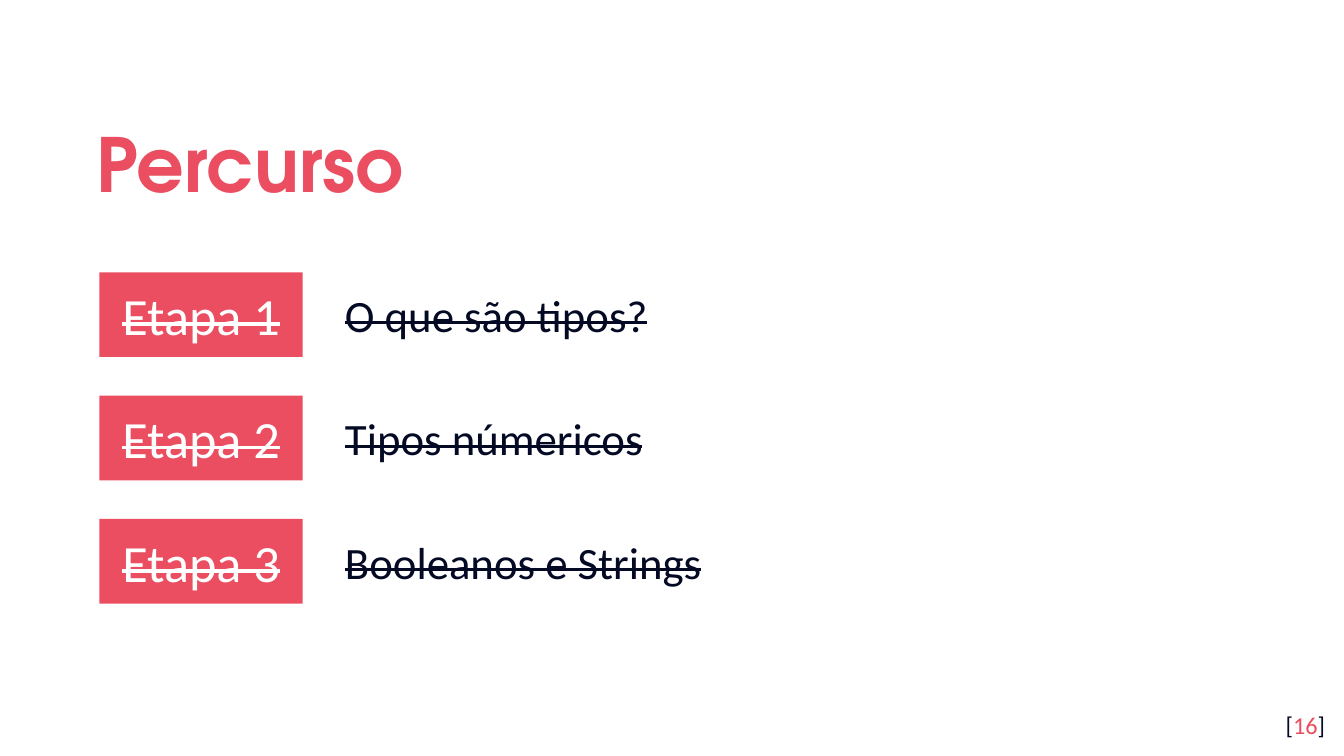
from dataclasses import dataclass

from pptx import Presentation
from pptx.dml.color import RGBColor
from pptx.enum.shapes import MSO_SHAPE
from pptx.enum.text import MSO_ANCHOR, PP_ALIGN
from pptx.util import Cm, Pt

RECT = MSO_SHAPE.RECTANGLE
TOP, MIDDLE = MSO_ANCHOR.TOP, MSO_ANCHOR.MIDDLE
LEFT, CENTER, RIGHT = PP_ALIGN.LEFT, PP_ALIGN.CENTER, PP_ALIGN.RIGHT


@dataclass(frozen=True)
class Theme:
    accent: str = "EA4E60"
    ink: str = "040A24"
    paper: str = "FFFFFF"
    heading_font: str = "TeX Gyre Adventor"
    body_font: str = "Calibri"
    title_size: int = 40
    stage_size: int = 28
    topic_size: int = 24
    number_size: int = 13


class SlideBuilder:
    def __init__(self, slide, theme):
        self.slide = slide
        self.theme = theme
        fill = slide.background.fill
        fill.solid()
        fill.fore_color.rgb = RGBColor.from_string(theme.paper)

    def set_text(self, sp, runs, size, font=None, bold=False, strike=False,
                 align=LEFT, anchor=TOP, pad=0.25):
        tf = sp.text_frame
        frame_format = {
            "word_wrap": True, "vertical_anchor": anchor,
            "margin_left": Cm(0.25), "margin_right": Cm(0.25),
            "margin_top": Cm(pad), "margin_bottom": Cm(pad),
        }
        for name, value in frame_format.items():
            setattr(tf, name, value)
        p = tf.paragraphs[0]
        p.alignment = align
        run_format = {"name": font or self.theme.body_font,
                      "size": Pt(size), "bold": bold}
        for text, color in runs:
            r = p.add_run()
            r.text = text
            for name, value in run_format.items():
                setattr(r.font, name, value)
            r.font.color.rgb = RGBColor.from_string(color)
            if strike:
                r._r.get_or_add_rPr().set("strike", "sngStrike")
        return p

    def text(self, box, runs, size, **style):
        sp = self.slide.shapes.add_textbox(*map(Cm, box))
        return self.set_text(sp, runs, size, **style)

    def title(self, box, text):
        t = self.theme
        p = self.text(box, [(text, t.accent)], t.title_size,
                      font=t.heading_font, bold=True, anchor=MIDDLE)
        p.line_spacing = 1.15

    def stage(self, box, text):
        t = self.theme
        sp = self.slide.shapes.add_shape(RECT, *map(Cm, box))
        sp.shadow.inherit = False
        sp.fill.solid()
        sp.fill.fore_color.rgb = RGBColor.from_string(t.accent)
        sp.line.fill.background()
        self.set_text(sp, [(text, t.paper)], t.stage_size,
                      strike=True, align=CENTER, anchor=MIDDLE)

    def topic(self, box, text):
        t = self.theme
        p = self.text(box, [(text, t.ink)], t.topic_size, strike=True, pad=0.13)
        pPr = p._p.get_or_add_pPr()
        pPr.set("marL", str(Cm(1.27)))
        pPr.set("indent", str(-Cm(1.27)))

    def page_number(self, box, number):
        t = self.theme
        runs = [("[", t.ink), (str(number), t.accent), ("]", t.ink)]
        self.text(box, runs, t.number_size, align=RIGHT)


def main():
    prs = Presentation()
    prs.slide_width, prs.slide_height = Cm(25.4), Cm(14.29)
    s = SlideBuilder(prs.slides.add_slide(prs.slide_layouts[6]), Theme())

    s.title((1.57, 1.78, 20.57, 2.34), "Percurso")
    topics = ["O que são tipos?", "Tipos númericos", "Booleanos e Strings"]
    first_top, pitch = 5.15, 2.33
    for i, topic in enumerate(topics):
        top = first_top + i * pitch
        s.stage((1.88, top, 3.84, 1.6), f"Etapa {i + 1}")
        s.topic((6.27, top + 0.16, 17.15, 1.27), topic)
    s.page_number((23.77, 13.18, 1.52, 1.09), 16)

    prs.save("out.pptx")


if __name__ == "__main__":
    main()
